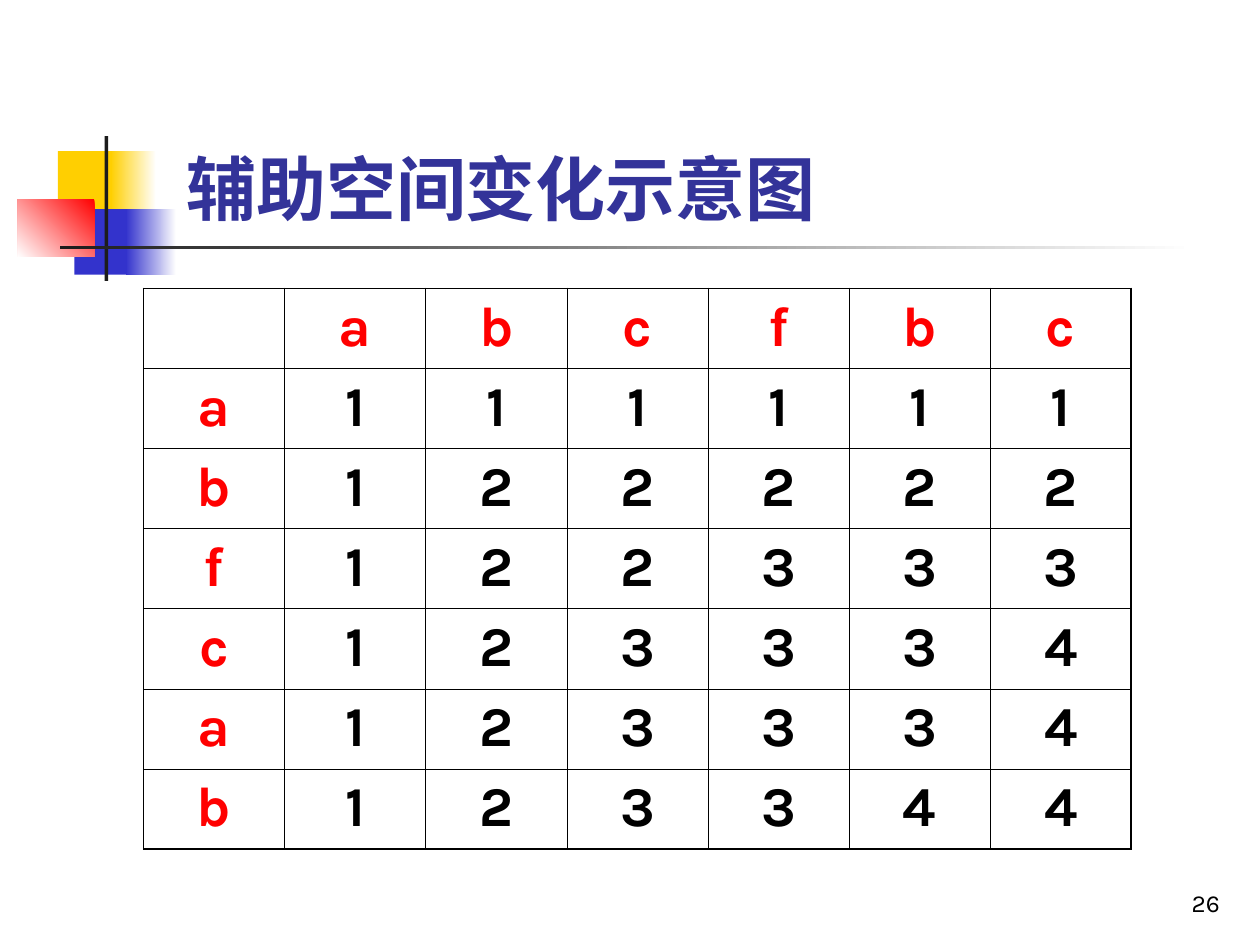
from lxml import etree
from pptx import Presentation, util as u
from pptx.dml.color import RGBColor
from pptx.enum import shapes, text
from pptx.oxml.ns import qn

WHITE = RGBColor(0xFF, 0xFF, 0xFF)
BLACK = RGBColor(0, 0, 0)
RED = RGBColor(0xFF, 0, 0)
YELLOW = RGBColor(0xFF, 0xCF, 0x01)
BLUE = RGBColor(0x33, 0x33, 0xCC)
INDIGO = RGBColor(0x33, 0x33, 0x99)
CHARCOAL = RGBColor(0x1C, 0x1C, 0x1C)

FONT = "Karla"
THIN, THICK = 0.45, 1.08

DECORATIONS = [
    ((0.46, 1.2, 0.48, 0.52), YELLOW, None),
    ((0.88, 1.2, 0.36, 0.52), (WHITE, YELLOW), 180),
    ((0.59, 1.66, 0.46, 0.52), BLUE, None),
    ((1, 1.66, 0.4, 0.52), (WHITE, BLUE), 180),
    ((0.14, 1.58, 0.61, 0.46), (RED, WHITE), 225),
    ((0.83, 1.08, 0.03, 1.15), CHARCOAL, None),
    ((0.48, 1.95, 9, 0.03), (WHITE, CHARCOAL), 180),
]

ACROSS = "abcfbc"
DOWN = "abfcab"
LENGTHS = [
    [1, 1, 1, 1, 1, 1],
    [1, 2, 2, 2, 2, 2],
    [1, 2, 2, 3, 3, 3],
    [1, 2, 3, 3, 3, 4],
    [1, 2, 3, 3, 3, 4],
    [1, 2, 3, 3, 4, 4],
]
TABLE_BOX = (1.14, 2.29, 7.84, 4.45)

TEXTS = [
    ("辅助空间变化示意图", (1.38, 1.11, 6.22, 0.77), text.MSO_ANCHOR.TOP, text.PP_ALIGN.LEFT,
     {"size": u.Pt(40), "bold": True}, INDIGO),
    ("26", (7.7, 6.83, 2.08, 0.5), text.MSO_ANCHOR.BOTTOM, text.PP_ALIGN.RIGHT,
     {"size": u.Pt(14), "bold": False}, BLACK),
]
CELL_FORMAT = {"size": u.Pt(32), "bold": True}


def inches(box):
    return [u.Inches(value) for value in box]


def write(paragraph, words, alignment, font_format, color):
    paragraph.alignment = alignment
    run = paragraph.add_run()
    run.text = words
    for name, value in {"name": FONT, **font_format}.items():
        setattr(run.font, name, value)
    run.font.color.rgb = color


def add_decoration(slide, box, color, angle):
    shape = slide.shapes.add_shape(shapes.MSO_SHAPE.RECTANGLE, *inches(box))
    shape.shadow.inherit = False
    shape.line.fill.background()
    if angle is None:
        shape.fill.solid()
        shape.fill.fore_color.rgb = color
        return
    shape.fill.gradient()
    shape.fill.gradient_angle = angle
    for position, (stop, stop_color) in enumerate(zip(shape.fill.gradient_stops, color)):
        stop.color.rgb = stop_color
        stop.position = position


def add_borders(cell, widths):
    properties = cell._tc.get_or_add_tcPr()
    for side, width in widths.items():
        line = etree.SubElement(properties, qn(f"a:ln{side}"), w=str(u.Pt(width)))
        fill = etree.SubElement(line, qn("a:solidFill"))
        etree.SubElement(fill, qn("a:srgbClr"), val=str(BLACK))


def add_length_table(slide):
    rows = [["", *ACROSS]] + [[label, *values] for label, values in zip(DOWN, LENGTHS)]
    last_row, last_column = len(rows) - 1, len(rows[0]) - 1
    frame = slide.shapes.add_table(len(rows), len(rows[0]), *inches(TABLE_BOX))
    table = frame.table
    table.first_row = table.horz_banding = False
    for r, row in enumerate(rows):
        for c, value in enumerate(row):
            cell = table.cell(r, c)
            add_borders(cell, {
                "L": THICK if c == 0 else THIN,
                "R": THICK if c == last_column else THIN,
                "T": THICK if r == 0 else THIN,
                "B": THICK if r == last_row else THIN,
            })
            cell.fill.background()
            if value != "":
                color = RED if r == 0 or c == 0 else BLACK
                write(cell.text_frame.paragraphs[0], str(value),
                      text.PP_ALIGN.CENTER, CELL_FORMAT, color)


def main():
    presentation = Presentation()
    presentation.slide_width, presentation.slide_height = inches((10, 7.5))
    slide = presentation.slides.add_slide(presentation.slide_layouts[6])
    for decoration in DECORATIONS:
        add_decoration(slide, *decoration)
    add_length_table(slide)
    for words, box, anchor, alignment, font_format, color in TEXTS:
        frame = slide.shapes.add_textbox(*inches(box)).text_frame
        frame.word_wrap = True
        frame.vertical_anchor = anchor
        write(frame.paragraphs[0], words, alignment, font_format, color)
    presentation.save("out.pptx")


if __name__ == "__main__":
    main()
